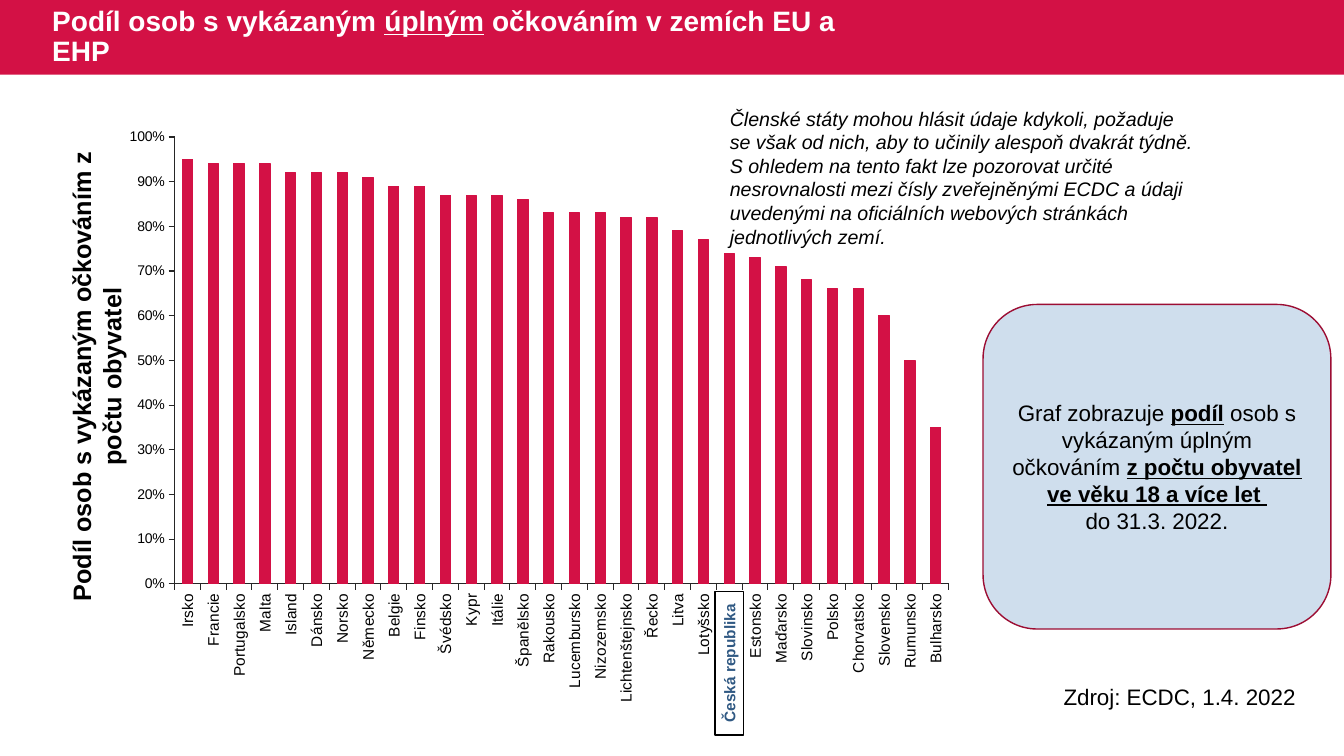
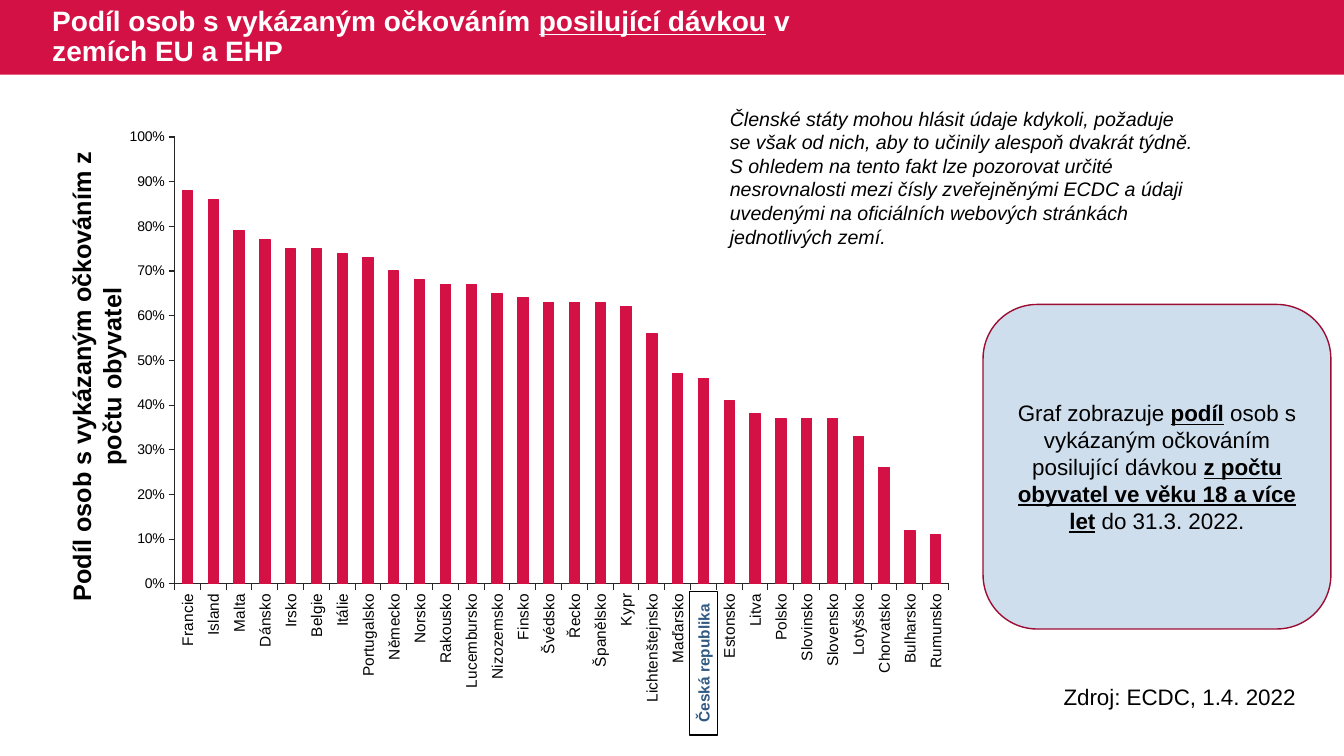
"""Two slides on vaccination coverage in EU and EEA countries."""
from lxml import etree
from pptx import Presentation
from pptx.chart.data import CategoryChartData
from pptx.dml.color import RGBColor
from pptx.enum.chart import XL_CHART_TYPE as Chart, XL_TICK_MARK as Tick
from pptx.enum.shapes import MSO_SHAPE as Shape
from pptx.enum.text import MSO_ANCHOR as Anchor, PP_ALIGN as Align
from pptx.oxml.ns import qn
from pptx.util import Inches, Pt

W, H = 13.33, 7.5
FONT = "Arial"
RED, DARK_RED, PALE, BLUE = "D31145", "9C0D33", "CFDEED", "305983"
BLACK, WHITE, AXIS = "000000", "FFFFFF", "262626"
BAND = 0.74
CHART = (1.16, 1.08, 8.4, 5.95)
PLOT = {"x": 0.068, "y": 0.047, "w": 0.914, "h": 0.745}
MARKED = "Česká republika"
MARK_W, MARK_H, MARK_TOP = 1.42, 0.28, 6.44

AXIS_TITLE = "Podíl osob s vykázaným očkováním z počtu obyvatel"
SOURCE = "Zdroj: ECDC, 1.4. 2022"
REMARK = (
    "Členské státy mohou hlásit údaje kdykoli, požaduje se však od nich, aby to "
    "učinily alespoň dvakrát týdně. S ohledem na tento fakt lze pozorovat určité "
    "nesrovnalosti mezi čísly zveřejněnými ECDC a údaji uvedenými na oficiálních "
    "webových stránkách jednotlivých zemí."
)

# Text between asterisks is underlined.
SLIDES = [
    {
        "title": "Podíl osob s vykázaným *úplným* očkováním v zemích EU a EHP",
        "note": "Graf zobrazuje *podíl* osob s vykázaným úplným očkováním "
                "*z počtu obyvatel ve věku 18 a více let *\ndo 31.3. 2022.",
        "data": [
            ("Irsko", 0.95), ("Francie", 0.94), ("Portugalsko", 0.94),
            ("Malta", 0.94), ("Island", 0.92), ("Dánsko", 0.92),
            ("Norsko", 0.92), ("Německo", 0.91), ("Belgie", 0.89),
            ("Finsko", 0.89), ("Švédsko", 0.87), ("Kypr", 0.87),
            ("Itálie", 0.87), ("Španělsko", 0.86), ("Rakousko", 0.83),
            ("Lucembursko", 0.83), ("Nizozemsko", 0.83), ("Lichtenštejnsko", 0.82),
            ("Řecko", 0.82), ("Litva", 0.79), ("Lotyšsko", 0.77),
            (MARKED, 0.74), ("Estonsko", 0.73), ("Maďarsko", 0.71),
            ("Slovinsko", 0.68), ("Polsko", 0.66), ("Chorvatsko", 0.66),
            ("Slovensko", 0.6), ("Rumunsko", 0.5), ("Bulharsko", 0.35),
        ],
    },
    {
        "title": "Podíl osob s vykázaným očkováním *posilující dávkou* v zemích EU a EHP",
        "note": "Graf zobrazuje *podíl* osob s vykázaným očkováním posilující dávkou "
                "*z počtu obyvatel ve věku 18 a více let* do 31.3. 2022.",
        "data": [
            ("Francie", 0.88), ("Island", 0.86), ("Malta", 0.79),
            ("Dánsko", 0.77), ("Irsko", 0.75), ("Belgie", 0.75),
            ("Itálie", 0.74), ("Portugalsko", 0.73), ("Německo", 0.7),
            ("Norsko", 0.68), ("Rakousko", 0.67), ("Lucembursko", 0.67),
            ("Nizozemsko", 0.65), ("Finsko", 0.64), ("Švédsko", 0.63),
            ("Řecko", 0.63), ("Španělsko", 0.63), ("Kypr", 0.62),
            ("Lichtenštejnsko", 0.56), ("Maďarsko", 0.47), (MARKED, 0.46),
            ("Estonsko", 0.41), ("Litva", 0.38), ("Polsko", 0.37),
            ("Slovinsko", 0.37), ("Slovensko", 0.37), ("Lotyšsko", 0.33),
            ("Chorvatsko", 0.26), ("Bulharsko", 0.12), ("Rumunsko", 0.11),
        ],
    },
]


def rgb(color):
    return RGBColor.from_string(color)


def style(font, size, color=BLACK, bold=False, italic=False):
    font.name, font.size, font.bold, font.italic = FONT, Pt(size), bold, italic
    font.color.rgb = rgb(color)


def write(sp, text, size, color=BLACK, bold=False, italic=False,
          align=Align.LEFT, anchor=Anchor.TOP, spacing=None):
    tf = sp.text_frame
    tf.word_wrap, tf.vertical_anchor = True, anchor
    for i, line in enumerate(text.split("\n")):
        p = tf.add_paragraph() if i else tf.paragraphs[0]
        p.alignment, p.line_spacing = align, spacing
        style(p.font, size, color, bold, italic)
        for j, part in enumerate(line.split("*")):
            if part:
                r = p.add_run()
                r.text = part
                if j % 2:
                    r.font.underline = r.font.bold = True


def add_box(s, at, kind, fill, line=None):
    sp = s.shapes.add_shape(kind, *map(Inches, at))
    sp.shadow.inherit = False
    sp.fill.solid()
    sp.fill.fore_color.rgb = rgb(fill)
    if line:
        sp.line.color.rgb, sp.line.width = rgb(line), Pt(1)
    else:
        sp.line.fill.background()
    return sp


def add_text(s, at, text, size, **look):
    sp = s.shapes.add_textbox(*map(Inches, at))
    write(sp, text, size, **look)
    return sp


def set_layout(chart):
    plot_area = chart._chartSpace.chart.plotArea
    for old in plot_area.findall(qn("c:layout")):
        plot_area.remove(old)
    layout = etree.Element(qn("c:layout"))
    manual = etree.SubElement(layout, qn("c:manualLayout"))
    values = {"layoutTarget": "inner", "xMode": "edge", "yMode": "edge", **PLOT}
    for tag, value in values.items():
        etree.SubElement(manual, qn(f"c:{tag}")).set("val", str(value))
    plot_area.insert(0, layout)


def add_columns(s, data):
    cd = CategoryChartData(number_format="0%")
    cd.categories = [name for name, _ in data]
    cd.add_series("Series 1", [value for _, value in data])
    chart = s.shapes.add_chart(
        Chart.COLUMN_CLUSTERED, *map(Inches, CHART), cd).chart
    chart.has_legend = chart.has_title = False
    style(chart.font, 10)
    cat, val = chart.category_axis, chart.value_axis
    for axis, size in ((cat, 11), (val, 10)):
        axis.has_major_gridlines = False
        axis.major_tick_mark, axis.minor_tick_mark = Tick.OUTSIDE, Tick.NONE
        axis.format.line.color.rgb = rgb(AXIS)
        axis.format.line.width = Pt(0.75)
        style(axis.tick_labels.font, size)
    val.minimum_scale, val.maximum_scale, val.major_unit = 0, 1, 0.1
    val.tick_labels.number_format = "0%"
    val.tick_labels.number_format_is_linked = False
    body = cat._element.find(qn("c:txPr")).find(qn("a:bodyPr"))
    body.set("rot", "-5400000")
    body.set("vert", "horz")
    skip = etree.Element(qn("c:tickLblSkip"))
    skip.set("val", "1")
    cat._element.find(qn("c:noMultiLvlLbl")).addprevious(skip)
    plot = chart.plots[0]
    plot.gap_width, plot.vary_by_categories = 150, False
    look = plot.series[0].format
    look.fill.solid()
    look.fill.fore_color.rgb = look.line.color.rgb = rgb(RED)
    look.line.width = Pt(0.75)
    set_layout(chart)


def add_marker(s, data):
    index = [name for name, _ in data].index(MARKED)
    left, _, width, _ = CHART
    share = PLOT["x"] + PLOT["w"] * (index + 0.5) / len(data)
    at = (left + width * share - MARK_W / 2, MARK_TOP, MARK_W, MARK_H)
    sp = add_box(s, at, Shape.RECTANGLE, WHITE, BLACK)
    sp.rotation = 270
    write(sp, MARKED, 11, BLUE, bold=True, align=Align.CENTER, anchor=Anchor.MIDDLE)


def build_slide(prs, title, note, data):
    s = prs.slides.add_slide(prs.slide_layouts[6])
    add_box(s, (0, 0, W, BAND), Shape.RECTANGLE, RED)
    add_text(s, (-1.55, 3.38, 5.02, 0.71), AXIS_TITLE, 18, bold=True,
             align=Align.CENTER).rotation = 270
    add_columns(s, data)
    panel = add_box(s, (9.75, 3.02, 3.45, 3.22), Shape.ROUNDED_RECTANGLE, PALE, DARK_RED)
    write(panel, note, 16, align=Align.CENTER, anchor=Anchor.MIDDLE)
    add_text(s, (0.42, 0, 8.16, BAND), title, 20, color=WHITE, bold=True,
             anchor=Anchor.MIDDLE, spacing=0.9)
    add_marker(s, data)
    add_text(s, (10.45, 6.73, 2.8, 0.37), SOURCE, 16)
    add_text(s, (7.14, 1.01, 4.86, 1.51), REMARK, 14, italic=True)


def main():
    prs = Presentation()
    prs.slide_width, prs.slide_height = Inches(W), Inches(H)
    for content in SLIDES:
        build_slide(prs, **content)
    prs.save("out.pptx")


if __name__ == "__main__":
    main()
